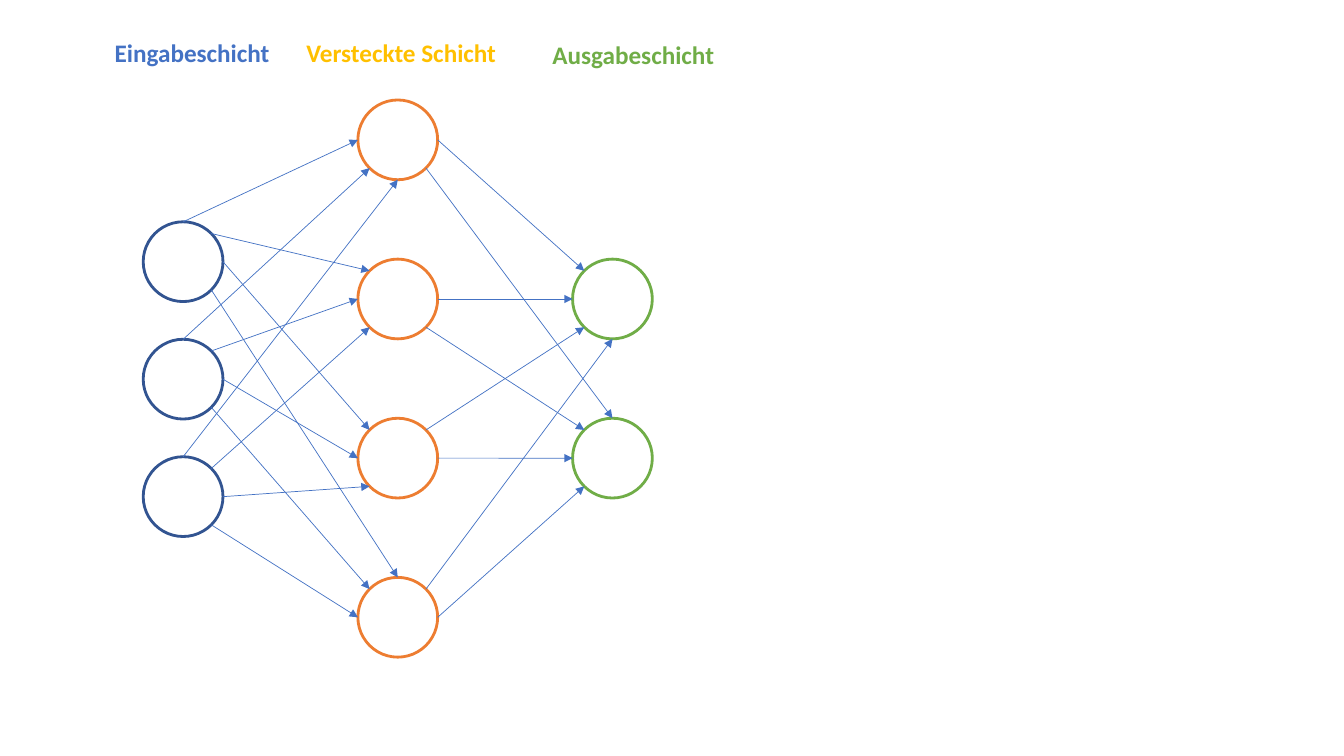
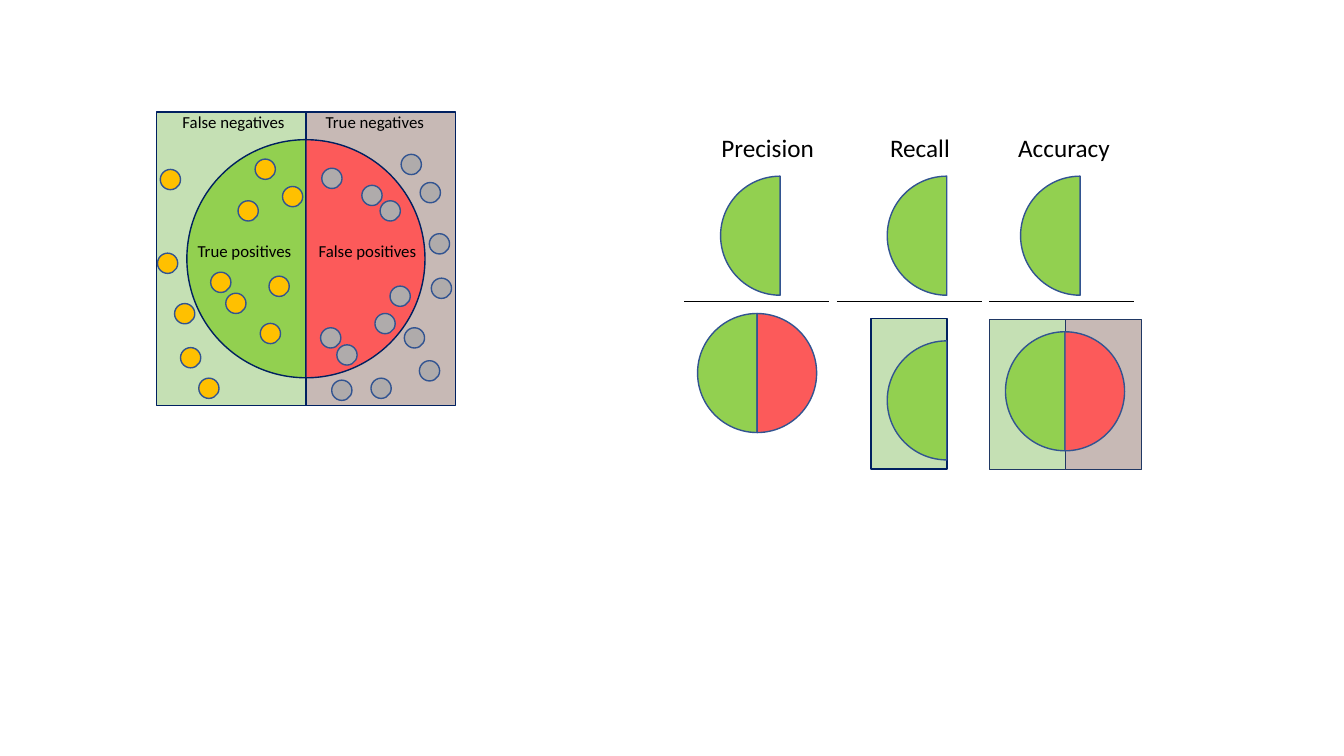
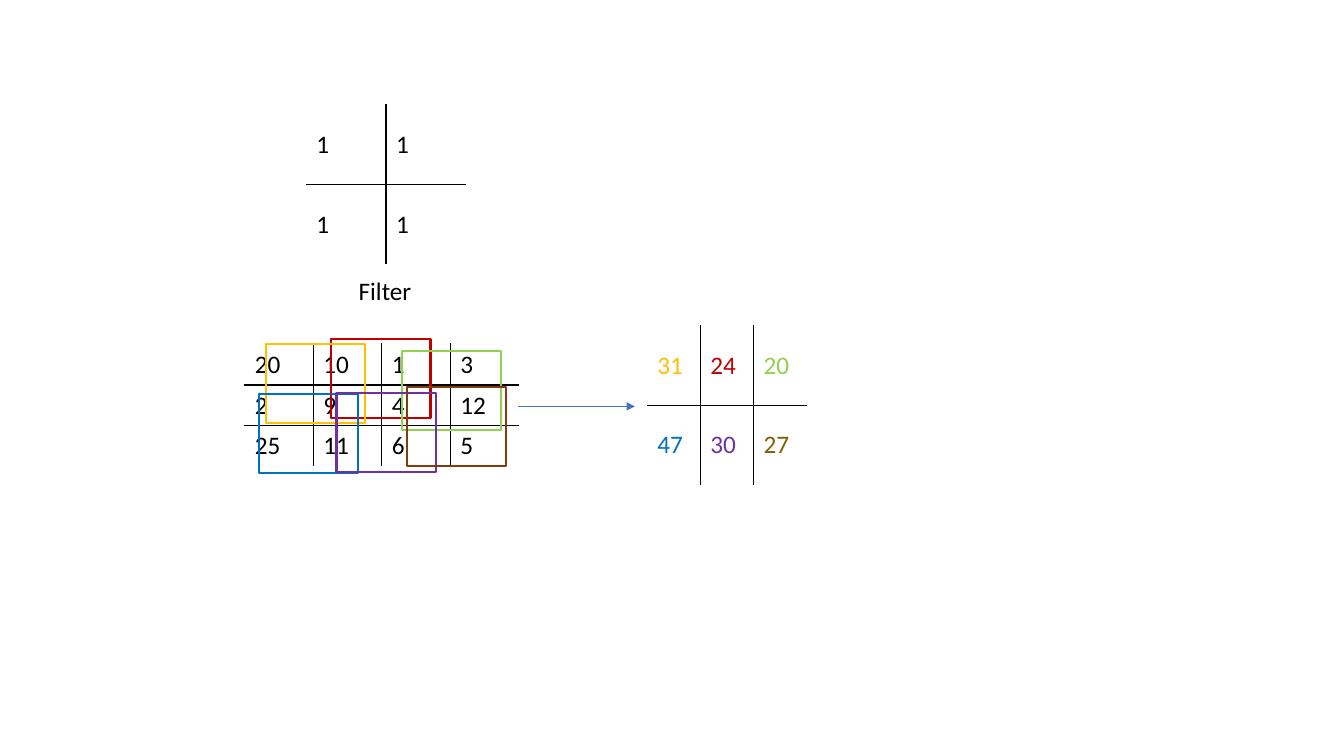
from dataclasses import dataclass
from itertools import product
from math import cos, radians, sin

from lxml import etree
from pptx import Presentation
from pptx.dml.color import RGBColor
from pptx.enum.shapes import MSO_CONNECTOR, MSO_SHAPE
from pptx.enum.text import MSO_ANCHOR, MSO_AUTO_SIZE
from pptx.oxml.ns import qn
from pptx.util import Cm, Pt

STRAIGHT = MSO_CONNECTOR.STRAIGHT
RECTANGLE, OVAL, CHORD = MSO_SHAPE.RECTANGLE, MSO_SHAPE.OVAL, MSO_SHAPE.CHORD
NODE = MSO_SHAPE.FLOWCHART_CONNECTOR
MIDDLE = MSO_ANCHOR.MIDDLE
GROW = MSO_AUTO_SIZE.SHAPE_TO_FIT_TEXT


@dataclass(frozen=True)
class Theme:
    """Colours, type sizes and line widths of the deck."""

    font: str = "Calibri"
    label: float = 18
    small: float = 12
    thin: float = 0.5
    normal: float = 1
    window: float = 1.5
    thick: float = 2
    black: str = "000000"
    white: str = "FFFFFF"
    blue: str = "4472C4"
    outline: str = "325491"
    navy: str = "002060"
    dark_blue: str = "203864"
    orange: str = "ED7D31"
    leaf: str = "70AD47"
    amber: str = "FFC000"
    grey: str = "AFABAB"
    positive: str = "92D050"
    wrong: str = "FC5A5A"
    missed: str = "C5E0B4"
    rejected: str = "C7B9B5"
    red: str = "C00000"
    sky: str = "0070C0"
    purple: str = "7030A0"
    brown: str = "843C0B"
    olive: str = "806000"


THEME = Theme()
LEFT, RIGHT = 0, 1
BOTH = (LEFT, RIGHT)
DISC_FILLS = (THEME.positive, THEME.wrong)
PANEL_FILLS = (THEME.missed, THEME.rejected)

NODE_SIZE = 2.01
LAYER_GAP = 5.41

DOT_SIZE = 0.51
RELEVANT_DOTS = (
    (2.62, 5.33), (2.49, 1.19), (3.18, 1.88), (1.75, 4.57),
    (0.46, 4.83), (0.61, 5.94), (0.03, 3.56), (2.84, 4.14),
    (1.37, 4.04), (1.07, 6.71), (2.06, 2.24), (0.1, 1.45),
)
IRRELEVANT_DOTS = (
    (4.14, 5.44), (4.55, 5.87), (4.42, 6.76), (5.41, 6.71),
    (5.51, 5.08), (6.65, 1.78), (5.89, 4.39), (4.17, 1.42),
    (6.93, 4.19), (6.25, 5.44), (6.88, 3.07), (5.64, 2.24),
    (6.17, 1.07), (5.18, 1.85), (6.63, 6.27),
)


def rgb(colour):
    """Return the colour object of a hex value."""
    return RGBColor.from_string(colour)


def add_outlined(slide, preset, left, top, width, height, line, weight, fill=None):
    """Draw a preset shape with an outline and an optional fill."""
    shape = slide.shapes.add_shape(preset, Cm(left), Cm(top), Cm(width), Cm(height))
    shape.shadow.inherit = False
    if fill:
        shape.fill.solid()
        shape.fill.fore_color.rgb = rgb(fill)
    else:
        shape.fill.background()
    shape.line.color.rgb = rgb(line)
    shape.line.width = Pt(weight)
    return shape


def add_line(slide, start, end, colour, arrow=False):
    """Draw a thin straight line, with an arrowhead at its end if asked."""
    line = slide.shapes.add_connector(STRAIGHT, *map(Cm, (*start, *end)))
    line.line.color.rgb = rgb(colour)
    line.line.width = Pt(THEME.thin)
    properties = line._element.spPr
    if arrow:
        etree.SubElement(properties.find(qn("a:ln")), qn("a:tailEnd"), type="triangle")
    etree.SubElement(properties, qn("a:effectLst"))


def write(frame, text, size, colour, bold=False):
    """Write one formatted run into the first paragraph of a frame."""
    run = frame.paragraphs[0].add_run()
    run.text = text
    run.font.name = THEME.font
    run.font.size = Pt(size)
    run.font.bold = bold
    run.font.color.rgb = rgb(colour)


def add_label(slide, text, left, top, width, size=THEME.label,
              colour=THEME.black, bold=False, wrap=False):
    """Place a one-line label."""
    height = 1.03 if size == THEME.label else 0.77
    frame = slide.shapes.add_textbox(Cm(left), Cm(top), Cm(width), Cm(height)).text_frame
    frame.word_wrap = wrap
    frame.auto_size = GROW
    write(frame, text, size, colour, bold)


def rim(node, angle):
    """Return the point of a node's rim at a clockwise angle from the right."""
    radius = NODE_SIZE / 2
    left, top = node
    return (left + radius * (1 + cos(radians(angle))),
            top + radius * (1 + sin(radians(angle))))


def add_layer(slide, left, top, count, pitch, colour):
    """Draw one column of nodes and return their corners."""
    nodes = [(left, top + pitch * row) for row in range(count)]
    for node in nodes:
        add_outlined(slide, NODE, *node, NODE_SIZE, NODE_SIZE, colour, THEME.thick)
    return nodes


def add_network(slide, left, top):
    """Draw a fully connected network of three layers."""
    inputs = add_layer(slide, left, top + 3.07, 3, 2.96, THEME.outline)
    hidden = add_layer(slide, left + LAYER_GAP, top, 4, 4.01, THEME.orange)
    outputs = add_layer(slide, left + 2 * LAYER_GAP, top + 4.01, 2, 4.01, THEME.leaf)
    arrivals = (180, 225, 225, 270)
    for (source, start), (target, end) in product(enumerate(inputs), enumerate(hidden)):
        add_line(slide, rim(start, 45 * target - 90),
                 rim(end, arrivals[target] - 45 * source), THEME.blue, arrow=True)
    for (source, start), (target, end) in product(enumerate(hidden), enumerate(outputs)):
        add_line(slide, rim(start, 45 * (target - source // 2)),
                 rim(end, 225 + 45 * (target - source)), THEME.blue, arrow=True)


def add_network_slide(slide):
    """Build the slide of the neural network."""
    add_network(slide, 3.61, 2.52)
    for text, left, top, width, colour in (
        ("Versteckte Schicht", 7.47, 0.82, 5.41, THEME.amber),
        ("Eingabeschicht", 2.64, 0.82, 4.42, THEME.blue),
        ("Ausgabeschicht", 13.67, 0.87, 4.7, THEME.leaf),
    ):
        add_label(slide, text, left, top, width, colour=colour, bold=True, wrap=True)


def add_disc(slide, left, top, size, halves, line=THEME.outline):
    """Draw the given halves of the disc of selected items."""
    for half in halves:
        chord = add_outlined(slide, CHORD, left, top, size, size, line,
                             THEME.normal, DISC_FILLS[half])
        chord.adjustments[0] = 54.0
        chord.adjustments[1] = 162.0
        chord.rotation = 180 * half


def add_panels(slide, left, top, width, height, halves, line=THEME.navy):
    """Draw the given halves of the background of all items."""
    for half in halves:
        add_outlined(slide, RECTANGLE, left + width * half, top, width, height,
                     line, THEME.normal, PANEL_FILLS[half])


def add_confusion(slide, left, top):
    """Draw all items, split by relevance and selection."""
    half, height, disc = 3.77, 7.4, 6
    add_panels(slide, left, top, half, height, BOTH)
    add_line(slide, (left + half, top), (left + half, top + height), THEME.navy)
    add_disc(slide, left + half - disc / 2, top + 0.7, disc, BOTH, THEME.navy)
    for dots, fill in ((RELEVANT_DOTS, THEME.amber), (IRRELEVANT_DOTS, THEME.grey)):
        for x, y in dots:
            add_outlined(slide, OVAL, left + x, top + y, DOT_SIZE, DOT_SIZE,
                         THEME.outline, THEME.normal, fill)
    for text, x, y, width in (
        ("False negatives", 0.41, -0.13, 3.12),
        ("True negatives", 4.02, -0.13, 3.02),
        ("True positives", 0.79, 3.11, 2.9),
        ("False positives", 3.84, 3.13, 3),
    ):
        add_label(slide, text, left + x, top + y, width, THEME.small)


def add_fraction(slide, left, top, name, name_box, numerator_x):
    """Draw a metric's name, its numerator and the fraction bar."""
    add_label(slide, name, left + name_box[0], top, name_box[1])
    add_disc(slide, left + numerator_x, top + 1.24, 3, (LEFT,))
    add_line(slide, (left, top + 4.39), (left + 3.65, top + 4.39), THEME.black)


def add_metrics(slide, left, top):
    """Draw the three metrics as fractions side by side."""
    precision, recall, accuracy = (left + 3.84 * column for column in range(3))
    add_fraction(slide, precision, top, "Precision", (0.68, 2.87), 0.91)
    add_disc(slide, precision + 0.33, top + 4.7, 3, BOTH)
    add_fraction(slide, recall, top, "Recall", (1.09, 2.03), 1.27)
    add_panels(slide, recall + 0.86, top + 4.83, 1.92, 3.79, (LEFT,))
    add_disc(slide, recall + 1.27, top + 5.39, 3, (LEFT,))
    add_fraction(slide, accuracy, top, "Accuracy", (0.48, 2.84), 0.79)
    add_panels(slide, accuracy, top + 4.85, 1.92, 3.79, BOTH, THEME.dark_blue)
    add_disc(slide, accuracy + 0.41, top + 5.16, 3, BOTH)


def add_metrics_slide(slide):
    """Build the slide of the classification metrics."""
    add_confusion(slide, 3.94, 2.82)
    add_metrics(slide, 17.25, 3.2)


def set_borders(cell, inner_sides):
    """Draw inner borders in black and outer ones in white."""
    properties = cell._tc.get_or_add_tcPr()
    for side, inner in zip("LRTB", inner_sides):
        border = etree.SubElement(properties, qn(f"a:ln{side}"), w=str(Pt(THEME.normal)))
        fill = etree.SubElement(border, qn("a:solidFill"))
        etree.SubElement(fill, qn("a:srgbClr"), val=THEME.black if inner else THEME.white)


def add_matrix(slide, left, top, width, height, values, colours=None):
    """Draw a grid of numbers with inner rules only."""
    rows, columns = len(values), len(values[0])
    table = slide.shapes.add_table(rows, columns, Cm(left), Cm(top),
                                   Cm(width), Cm(height)).table
    table.first_row = table.horz_banding = False
    for row, column in product(range(rows), range(columns)):
        cell = table.cell(row, column)
        set_borders(cell, (column > 0, column < columns - 1, row > 0, row < rows - 1))
        cell.fill.solid()
        cell.fill.fore_color.rgb = rgb(THEME.white)
        cell.vertical_anchor = MIDDLE
        colour = colours[row][column] if colours else THEME.black
        write(cell.text_frame, str(values[row][column]), THEME.label, colour)


def add_filter(slide, left, top):
    """Draw the filter matrix with its caption."""
    add_matrix(slide, left, top, 4.02, 4.03, ((1, 1), (1, 1)))
    add_label(slide, "Filter", left + 1.07, top + 4.17, 1.85)


def add_input(slide, left, top):
    """Draw the input matrix under the windows of the filter."""
    add_matrix(slide, left, top, 6.9, 3.09,
               ((20, 10, 1, 3), (2, 9, 4, 12), (25, 11, 6, 5)))
    for x, y, colour in (
        (2.18, -0.13, THEME.red),
        (3.96, 0.18, THEME.positive),
        (0.53, 0, THEME.amber),
        (0.36, 1.27, THEME.sky),
        (2.31, 1.24, THEME.purple),
        (4.09, 1.09, THEME.brown),
    ):
        add_outlined(slide, RECTANGLE, left + x, top + y, 2.5, 1.99, colour, THEME.window)


def add_convolution_slide(slide):
    """Build the slide of the convolution."""
    add_filter(slide, 7.72, 2.64)
    add_input(slide, 6.17, 8.67)
    add_matrix(slide, 16.31, 8.2, 4.02, 4.03, ((31, 24, 20), (47, 30, 27)),
               ((THEME.amber, THEME.red, THEME.positive),
                (THEME.sky, THEME.purple, THEME.olive)))
    add_line(slide, (13.06, 10.24), (16, 10.24), THEME.blue, arrow=True)


def main():
    """Build and save the deck."""
    deck = Presentation()
    deck.slide_width, deck.slide_height = Cm(33.87), Cm(19.05)
    blank = deck.slide_layouts[6]
    for build in (add_network_slide, add_metrics_slide, add_convolution_slide):
        build(deck.slides.add_slide(blank))
    deck.save("out.pptx")


if __name__ == "__main__":
    main()
